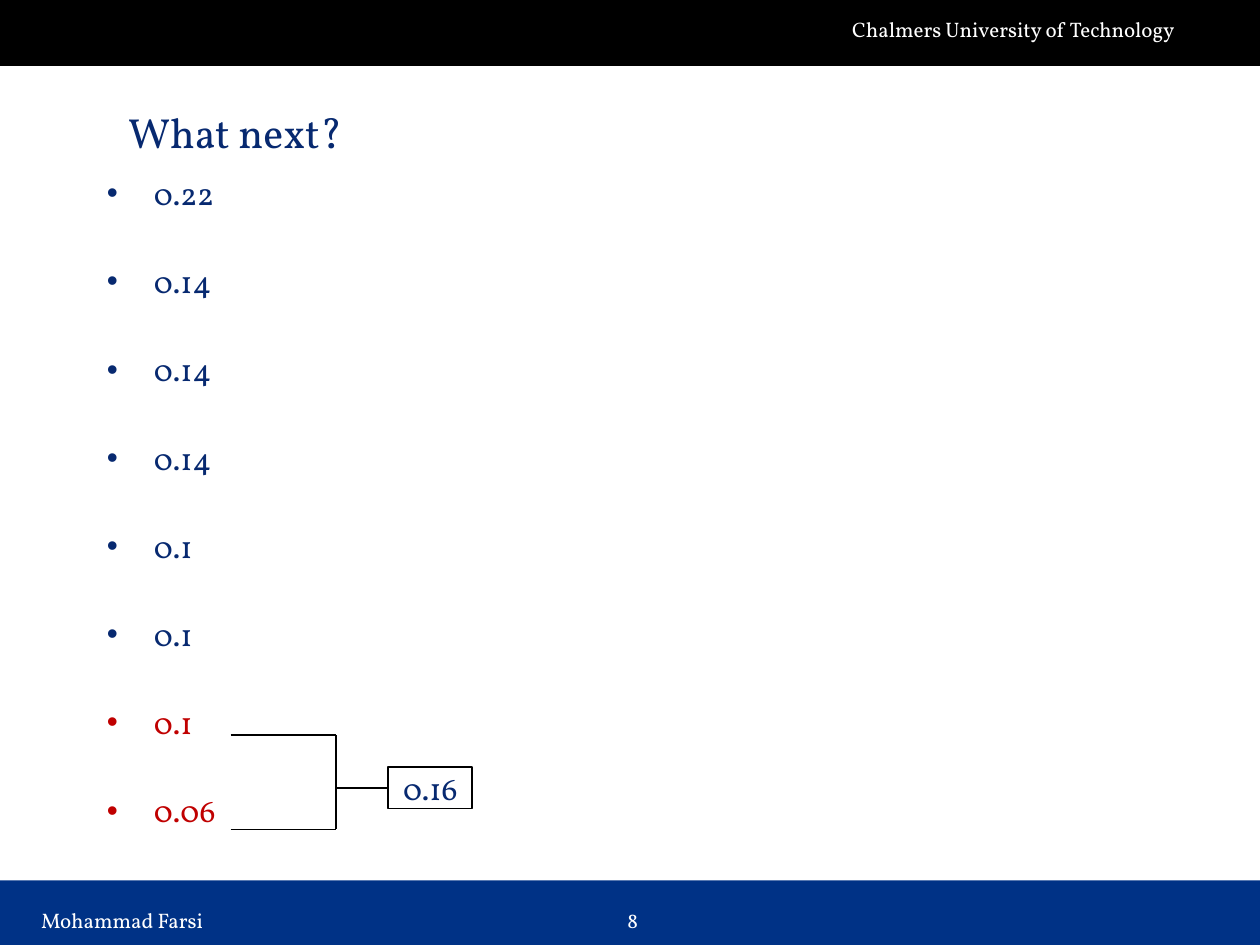
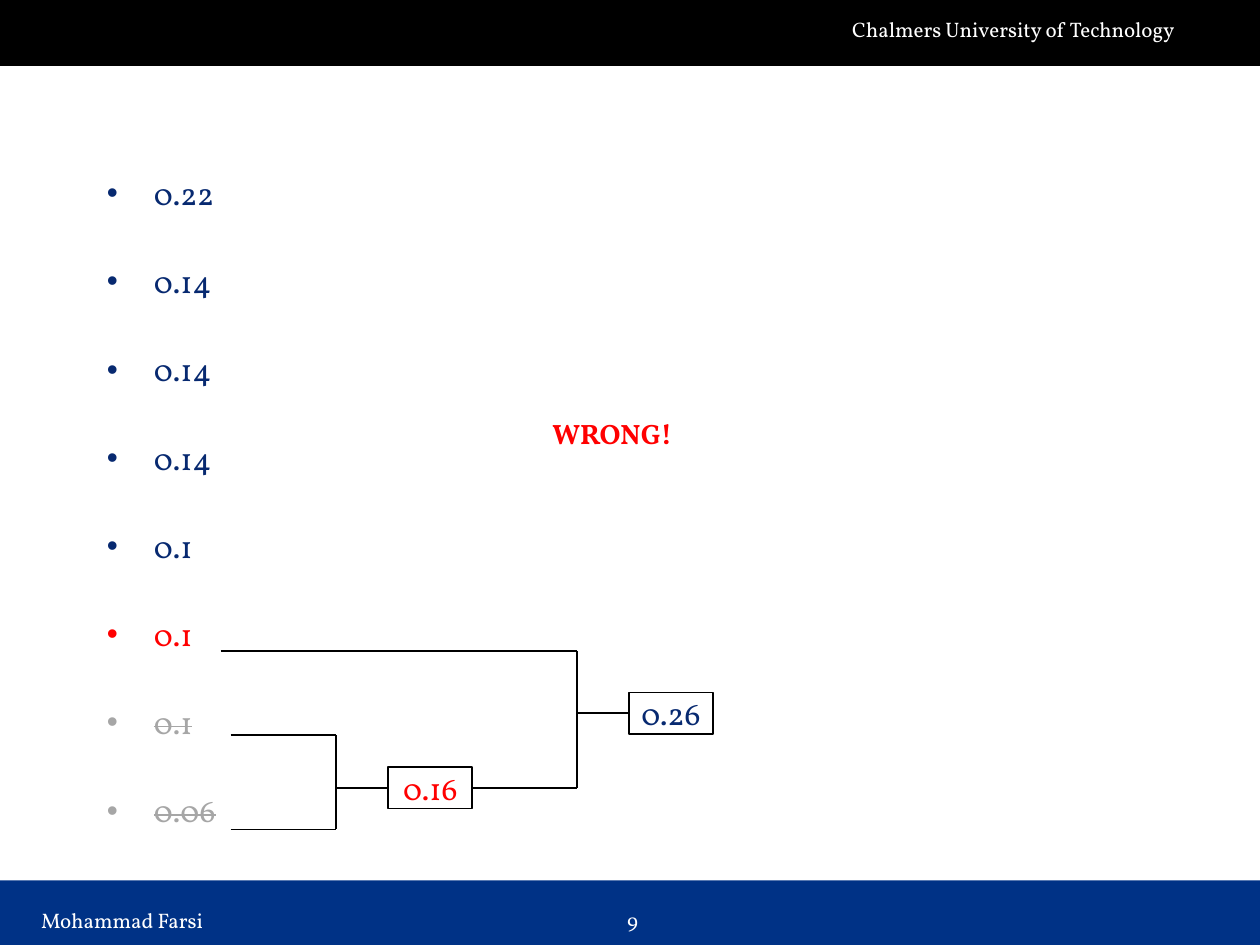
from dataclasses import dataclass

from lxml import etree
from pptx import Presentation
from pptx import util as u
from pptx.dml.color import RGBColor
from pptx.enum import shapes, text
from pptx.oxml import ns


@dataclass(frozen=True)
class Theme:
    """Colours, font and type sizes shared by the slides."""
    font: str = "Vollkorn"
    navy: str = "072970"
    footer_blue: str = "003286"
    black: str = "000000"
    white: str = "FFFFFF"
    dark_red: str = "C00000"
    red: str = "FF0000"
    grey: str = "A6A6A6"
    title_size: int = 24
    verdict_size: int = 16
    value_size: int = 18
    band_size: int = 12
    value_gap: float = 28.8
    line_width: int = 1


@dataclass(frozen=True)
class Box:
    """A rectangle in centimetres."""
    left: float
    top: float
    width: float
    height: float

    def lengths(self):
        """Return the four sides as Cm lengths."""
        return [u.Cm(side) for side in (self.left, self.top, self.width, self.height)]


THEME = Theme()
HEADER = Box(0, 0, 25.4, 1.33)
FOOTER = Box(0, 17.75, 25.4, 1.3)
VALUES = Box(1.9, 3.38, 21.6, 13.97)
HEADING = Box(2.33, 1.49, 21.6, 2.34)
VERDICT = Box(10.88, 7.56, 3.3, 2.34)
FIRST_MERGE = Box(4.65, 14.82, 4.87, 1.9)
SECOND_MERGE = Box(4.45, 13.12, 9.92, 2.76)
NODE_WIDTH, NODE_HEIGHT, STEM = 1.69, 0.84, 1.05
FREQUENCIES = ["0.22", "0.14", "0.14", "0.14", "0.1", "0.1", "0.1", "0.06"]


def add_run(paragraph, words, size, color, bold=False):
    """Add one formatted run to a paragraph."""
    run = paragraph.add_run()
    run.text = words
    run.font.name = THEME.font
    run.font.size = u.Pt(size)
    run.font.bold = bold
    run.font.color.rgb = RGBColor.from_string(color)
    return run


def add_rectangle(slide, box, fill=None, line=None):
    """Add a flat rectangle with an optional fill and outline."""
    shape = slide.shapes.add_shape(shapes.MSO_SHAPE.RECTANGLE, *box.lengths())
    shape.shadow.inherit = False
    if fill:
        shape.fill.solid()
        shape.fill.fore_color.rgb = RGBColor.from_string(fill)
    else:
        shape.fill.background()
    if line:
        shape.line.color.rgb = RGBColor.from_string(line)
        shape.line.width = u.Pt(THEME.line_width)
    else:
        shape.line.fill.background()
    return shape


def add_band_text(slide, box, words, alignment=text.PP_ALIGN.LEFT):
    """Add white text on a band."""
    frame = slide.shapes.add_textbox(*box.lengths()).text_frame
    frame.word_wrap = True
    frame.vertical_anchor = text.MSO_ANCHOR.MIDDLE
    paragraph = frame.paragraphs[0]
    paragraph.alignment = alignment
    add_run(paragraph, words, THEME.band_size, THEME.white)


def add_bands(slide, header, footer, number):
    """Add the header and footer bands with their texts."""
    add_rectangle(slide, footer, THEME.footer_blue)
    add_rectangle(slide, header, THEME.black)
    add_band_text(slide, Box(header.left + 16.93, header.top + 0.18, 8.25, 0.8),
                  "Chalmers University of Technology")
    add_band_text(slide, Box(footer.left + 0.58, footer.top + 0.28, 9.8, 1.02), "Mohammad Farsi")
    add_band_text(slide, Box(footer.left + 10.36, footer.top + 0.28, 2.75, 1.02), str(number),
                  text.PP_ALIGN.RIGHT)


def place(placeholder, box):
    """Move a placeholder into a box and return its text frame."""
    placeholder.left, placeholder.top, placeholder.width, placeholder.height = box.lengths()
    frame = placeholder.text_frame
    frame.auto_size = text.MSO_AUTO_SIZE.NONE
    frame.word_wrap = True
    return frame


def fill_title(slide, box, words, size, color, bold=False):
    """Write the slide title."""
    frame = place(slide.shapes.title, box)
    frame.vertical_anchor = text.MSO_ANCHOR.MIDDLE
    paragraph = frame.paragraphs[0]
    paragraph.alignment = text.PP_ALIGN.LEFT
    add_run(paragraph, words, size, color, bold)


def fill_values(slide, box, colors, struck=()):
    """List the frequencies, each in its colour, striking those already merged."""
    frame = place(slide.placeholders[1], box)
    for index, (value, color) in enumerate(zip(FREQUENCIES, colors)):
        paragraph = frame.add_paragraph() if index else frame.paragraphs[0]
        paragraph.space_before = u.Pt(0)
        paragraph.space_after = u.Pt(THEME.value_gap)
        properties = paragraph._p.get_or_add_pPr()
        properties.set("marL", str(u.Cm(0.95)))
        properties.set("indent", str(-u.Cm(0.95)))
        run = add_run(paragraph, value, THEME.value_size, color)
        if index in struck:
            run.font._element.set("strike", "sngStrike")


def add_line(slide, start, end):
    """Add a thin black line between two points in centimetres."""
    connector = slide.shapes.add_connector(
        shapes.MSO_CONNECTOR.STRAIGHT, *[u.Cm(value) for value in (*start, *end)])
    connector.line.color.rgb = RGBColor.from_string(THEME.black)
    connector.line.width = u.Pt(THEME.line_width)
    etree.SubElement(connector._element.spPr, ns.qn("a:effectLst"))
    return connector


def add_merge(slide, box, node_drop, total, color, lower_node=None):
    """Bracket two branches across the box and lead them to a node with their total."""
    right, bottom = box.left + box.width, box.top + box.height
    node_left, node_middle = right - NODE_WIDTH, box.top + node_drop
    join = node_left - STEM
    node = add_rectangle(slide, Box(node_left, node_middle - NODE_HEIGHT / 2,
                                    NODE_WIDTH, NODE_HEIGHT), line=THEME.black)
    frame = node.text_frame
    frame.margin_left = frame.margin_right = frame.margin_top = frame.margin_bottom = 0
    frame.vertical_anchor = text.MSO_ANCHOR.MIDDLE
    frame.paragraphs[0].alignment = text.PP_ALIGN.CENTER
    add_run(frame.paragraphs[0], total, THEME.value_size, color)

    add_line(slide, (box.left, box.top), (join, box.top))
    lower_branch = add_line(slide, (box.left, bottom), (join, bottom))
    if lower_node:
        lower_branch.begin_connect(lower_node, 3)
    add_line(slide, (join, box.top), (join, bottom))
    add_line(slide, (join, node_middle), (node_left, node_middle)).end_connect(node, 1)
    return node


def add_slide(presentation, number):
    """Add a title and list slide with the shared bands."""
    slide = presentation.slides.add_slide(presentation.slide_layouts[1])
    add_bands(slide, HEADER, FOOTER, number)
    return slide


def build_question(presentation):
    """Build the slide that merges the two smallest values."""
    slide = add_slide(presentation, 8)
    fill_title(slide, HEADING, "What next?", THEME.title_size, THEME.navy)
    fill_values(slide, VALUES, [THEME.navy] * 6 + [THEME.dark_red] * 2)
    add_merge(slide, FIRST_MERGE, 1.06, "0.16", THEME.navy)


def build_wrong_answer(presentation):
    """Build the slide that shows the wrong second merge."""
    slide = add_slide(presentation, 9)
    fill_title(slide, VERDICT, "WRONG!", THEME.verdict_size, THEME.red, bold=True)
    fill_values(slide, VALUES, [THEME.navy] * 5 + [THEME.red] + [THEME.grey] * 2, struck=(6, 7))
    first_node = add_merge(slide, FIRST_MERGE, 1.06, "0.16", THEME.red)
    add_merge(slide, SECOND_MERGE, 1.26, "0.26", THEME.navy, first_node)


def main():
    """Build and save the presentation."""
    presentation = Presentation()
    presentation.slide_width, presentation.slide_height = u.Cm(25.4), u.Cm(19.05)
    build_question(presentation)
    build_wrong_answer(presentation)
    presentation.save("out.pptx")


if __name__ == "__main__":
    main()
